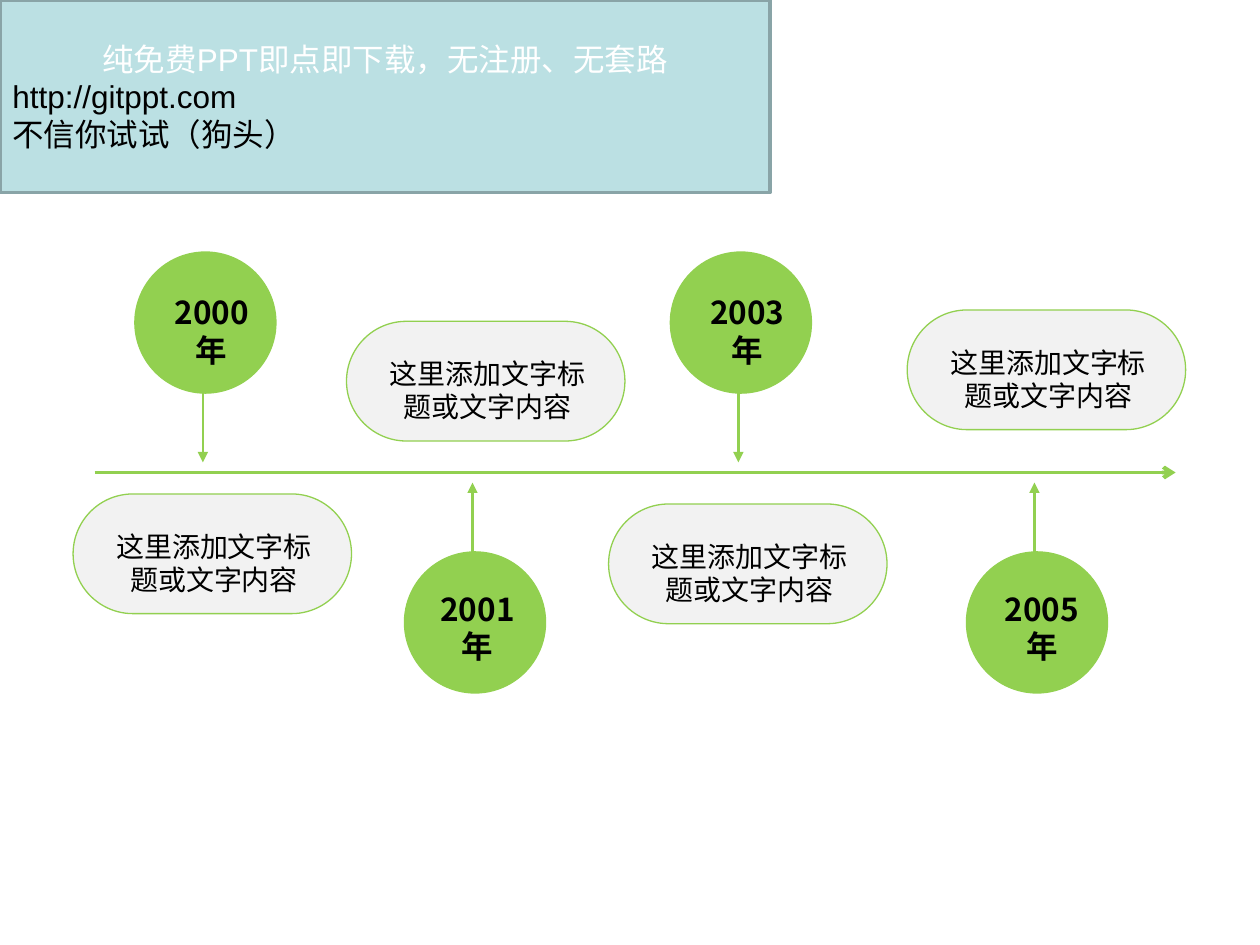
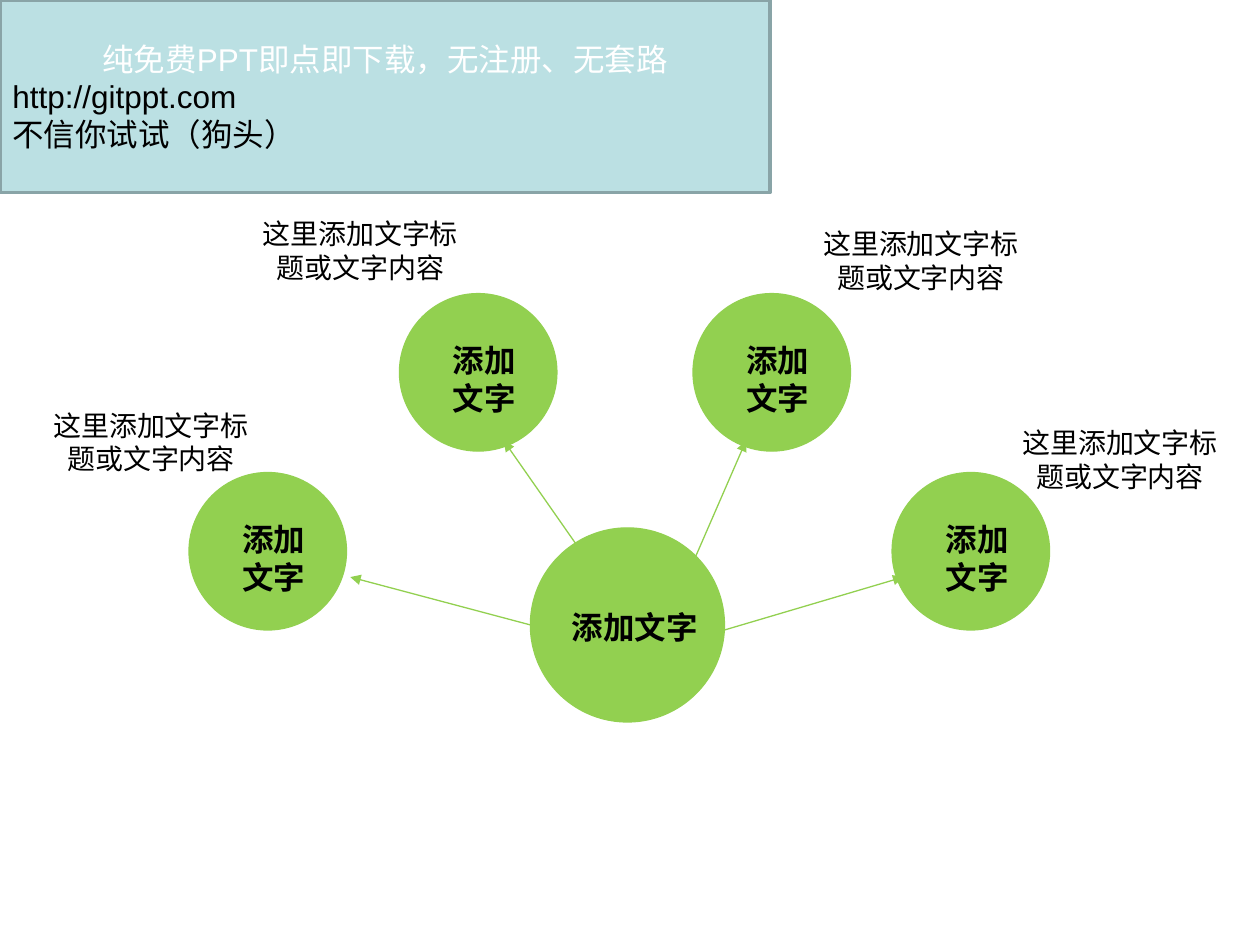
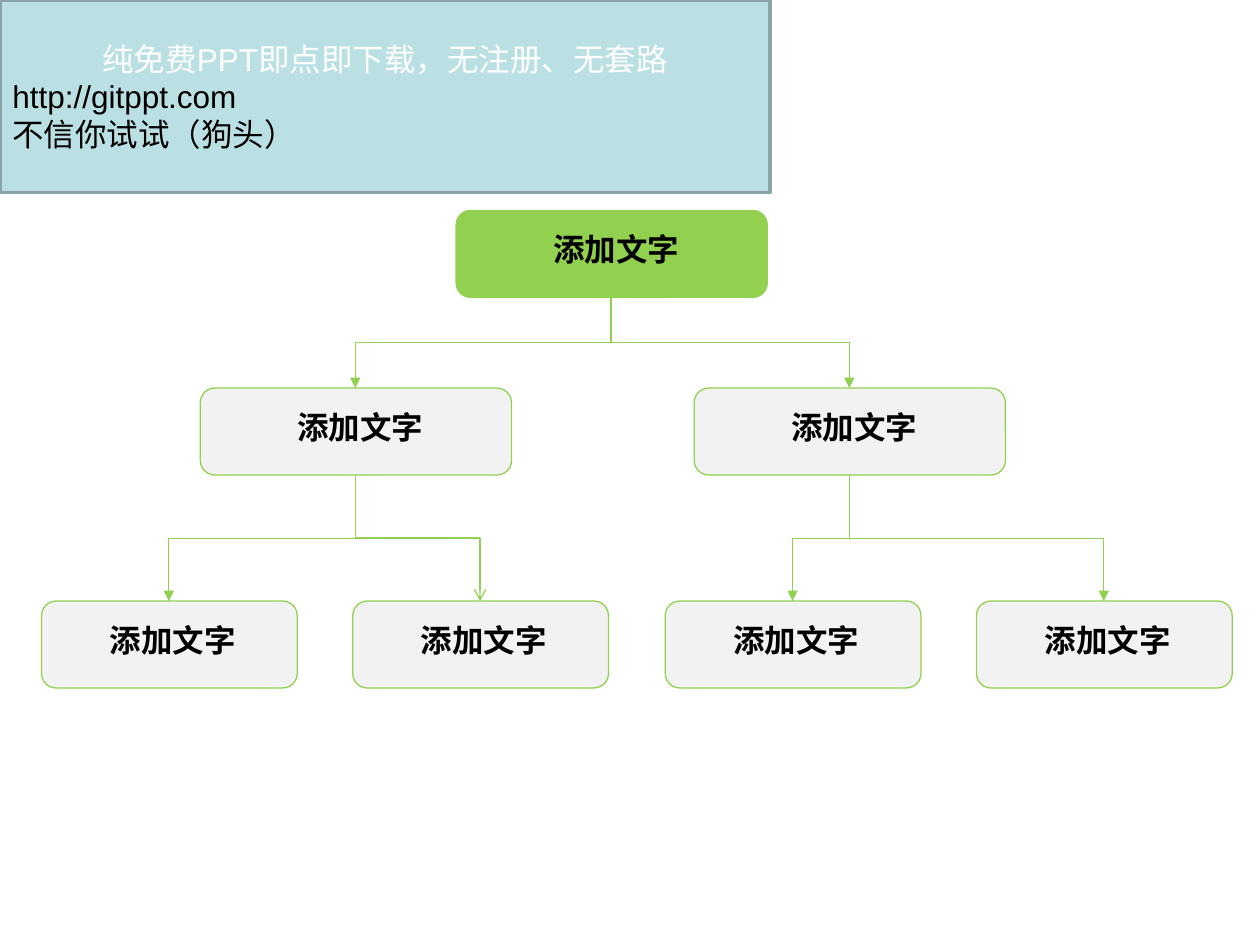
from dataclasses import dataclass
from typing import NamedTuple

import pptx
import pptx.dml.color
import pptx.enum.shapes
import pptx.enum.text
import pptx.oxml
import pptx.oxml.ns
import pptx.util

SHAPE = pptx.enum.shapes.MSO_SHAPE
CONNECTOR = pptx.enum.shapes.MSO_CONNECTOR
ALIGN = pptx.enum.text.PP_ALIGN
EMU_PER_PX = 9144


@dataclass(frozen=True)
class Theme:
    green: str = "92D050"
    grey: str = "F2F2F2"
    band: str = "BBE0E3"
    band_edge: str = "89A4A7"
    black: str = "000000"
    white: str = "FFFFFF"
    font: str = "Noto Sans CJK SC"
    band_font: str = "Arial"
    heading: int = 18
    caption: int = 16
    leading: float = 1.2
    thin: float = 0.5
    outline: float = 0.75
    arrow: float = 1.5
    axis: float = 2.25
    band_line: float = 2


T = Theme()


class Box(NamedTuple):
    x: int
    y: int
    w: int
    h: int


class Point(NamedTuple):
    x: int
    y: int


class Milestone(NamedTuple):
    year: str
    circle: Point
    text: Point
    above: bool


class Spoke(NamedTuple):
    circle: Point
    caption: Point
    start: Point
    end: Point


class Node(NamedTuple):
    box: Box
    parent: int | None = None
    width: float = T.outline
    tail: str = "triangle"


CAPTION = "这里添加文字标题或文字内容"
LABEL = "添加文字"

PILLS = [Point(58, 392), Point(275, 255), Point(483, 400), Point(720, 246)]
MILESTONES = [
    Milestone("2000年", Point(107, 200), Point(122, 228), True),
    Milestone("2001年", Point(321, 438), Point(333, 463), False),
    Milestone("2003年", Point(532, 200), Point(547, 228), True),
    Milestone("2005年", Point(767, 438), Point(781, 463), False),
]
SPOKES = [
    Spoke(Point(150, 375), Point(31, 319), Point(421, 496), Point(278, 458)),
    Spoke(Point(317, 233), Point(197, 167), Point(458, 433), Point(400, 350)),
    Spoke(Point(550, 233), Point(642, 175), Point(552, 442), Point(592, 350)),
    Spoke(Point(708, 375), Point(800, 333), Point(575, 500), Point(717, 458)),
]
LEAVES = [Box(33 + i * 495 // 2, 477, 203, 69) for i in range(4)]
TREE = [
    Node(Box(362, 167, 247, 69)),
    Node(Box(159, 308, 247, 69), 0),
    Node(Box(551, 308, 247, 69), 0),
    Node(LEAVES[0], 1, T.thin),
    Node(LEAVES[1], 1, T.outline, "arrow"),
    Node(LEAVES[2], 2, T.thin),
    Node(LEAVES[3], 2, T.thin),
]


def px(n: float) -> int:
    return pptx.util.Emu(round(n * EMU_PER_PX))


def rgb(color: str) -> pptx.dml.color.RGBColor:
    return pptx.dml.color.RGBColor.from_string(color)


def write(p, text: str, *, size: int = T.heading, bold: bool = False,
          color: str = T.black, font: str = T.font, align=ALIGN.CENTER,
          leading: float | None = T.leading) -> None:
    p.alignment = align
    if leading:
        p.line_spacing = pptx.util.Pt(round(size * leading, 1))
    r = p.add_run()
    r.text = text
    r.font.size = pptx.util.Pt(size)
    r.font.bold = bold
    r.font.name = font
    r.font.color.rgb = rgb(color)
    ea = pptx.oxml.parse_xml(f'<a:ea {pptx.oxml.ns.nsdecls("a")} typeface="{font}"/>')
    r.font._element.find(pptx.oxml.ns.qn("a:latin")).addnext(ea)


def add_label(s, box: Box, text: str, **style) -> None:
    tf = s.shapes.add_textbox(*map(px, box)).text_frame
    tf.word_wrap = True
    tf.auto_size = pptx.enum.text.MSO_AUTO_SIZE.SHAPE_TO_FIT_TEXT
    for i, line in enumerate(text.split("\n")):
        write(tf.add_paragraph() if i else tf.paragraphs[0], line, **style)


def add_caption(s, at: Point) -> None:
    add_label(s, Box(*at, 178, 64), CAPTION, size=T.caption)


def add_block(s, kind, box: Box, fill: str = T.green, line: str = T.green,
              width: float = T.outline):
    sp = s.shapes.add_shape(kind, *map(px, box))
    sp.shadow.inherit = False
    sp.fill.solid()
    sp.fill.fore_color.rgb = rgb(fill)
    sp.line.color.rgb = rgb(line)
    sp.line.width = pptx.util.Pt(width)
    return sp


def add_arrow(s, start: Point, end: Point, width: float = T.outline,
              tail: str = "triangle", head: str = "none",
              kind=CONNECTOR.STRAIGHT):
    sp = s.shapes.add_connector(kind, *map(px, (*start, *end)))
    sp.line.color.rgb = rgb(T.green)
    sp.line.width = pptx.util.Pt(width)
    ns = pptx.oxml.ns.nsdecls("a")
    ln = sp.line._get_or_add_ln()
    for tag, style in (("headEnd", head), ("tailEnd", tail)):
        ln.append(pptx.oxml.parse_xml(f'<a:{tag} {ns} type="{style}"/>'))
    sp._element.spPr.append(pptx.oxml.parse_xml(f"<a:effectLst {ns}/>"))
    return sp


def add_branch(s, start: Point, end: Point, width: float, tail: str) -> None:
    cx, cy = (start.x + end.x) / 2, (start.y + end.y) / 2
    dx, dy = abs(end.x - start.x) / 2, (end.y - start.y) / 2
    side = 1 if end.x > start.x else -1
    sp = add_arrow(s, Point(cx + side * dy, cy - dx), Point(cx - side * dy, cy + dx),
                   width, tail, kind=CONNECTOR.ELBOW)
    angle = 270 if side > 0 else 90
    sp._element.spPr.find(pptx.oxml.ns.qn("a:xfrm")).set("rot", str(angle * 60000))


def add_band(s) -> None:
    sp = add_block(s, SHAPE.RECTANGLE, Box(0, 0, 611, 153), T.band, T.band_edge, T.band_line)
    tf = sp.text_frame
    tf.word_wrap = True
    tf.vertical_anchor = pptx.enum.text.MSO_ANCHOR.MIDDLE
    write(tf.paragraphs[0], "纯免费PPT即点即下载，无注册、无套路", color=T.white,
          font=T.band_font, leading=None)
    for line in ("http://gitppt.com", "不信你试试（狗头）"):
        write(tf.add_paragraph(), line, font=T.band_font, align=ALIGN.LEFT, leading=None)


def draw_timeline(s) -> None:
    add_arrow(s, Point(75, 375), Point(933, 375), T.axis, "arrow")
    for pill in PILLS:
        sp = add_block(s, SHAPE.ROUNDED_RECTANGLE, Box(*pill, 221, 95), T.grey)
        sp.adjustments[0] = 0.5
        add_caption(s, Point(pill.x + 23, pill.y + 23))
    for m in MILESTONES:
        add_block(s, SHAPE.OVAL, Box(*m.circle, 112, 112))
        add_label(s, Box(*m.text, 92, 70), m.year, bold=True)
        x = m.circle.x + 54
        start, end = (308, 367) if m.above else (442, 383)
        add_arrow(s, Point(x, start), Point(x, end), T.arrow, head="diamond")


def draw_hub(s) -> None:
    add_block(s, SHAPE.OVAL, Box(421, 419, 154, 154))
    add_label(s, Box(441, 478, 126, 40), LABEL, bold=True)
    for spoke in SPOKES:
        x, y = spoke.circle
        add_block(s, SHAPE.OVAL, Box(x, y, 125, 125))
        add_label(s, Box(x + 16, y + 33, 103, 70), "添加\n文字", bold=True)
        add_arrow(s, spoke.start, spoke.end)
        add_caption(s, spoke.caption)


def draw_tree(s) -> None:
    for node in TREE:
        x, y, w, h = node.box
        fill = T.green if node.parent is None else T.grey
        add_block(s, SHAPE.ROUNDED_RECTANGLE, node.box, fill)
        add_label(s, Box(x + w // 9, y + 11, w * 81 // 100, 40), LABEL, bold=True)
    for node in TREE:
        if node.parent is not None:
            top = TREE[node.parent].box
            add_branch(s, Point(top.x + top.w // 2, top.y + top.h),
                       Point(node.box.x + node.box.w // 2, node.box.y),
                       node.width, node.tail)


def main() -> None:
    prs = pptx.Presentation()
    prs.slide_width, prs.slide_height = px(1000), px(750)
    for draw in (draw_timeline, draw_hub, draw_tree):
        s = prs.slides.add_slide(prs.slide_layouts[6])
        draw(s)
        add_band(s)
    prs.save("out.pptx")


if __name__ == "__main__":
    main()
